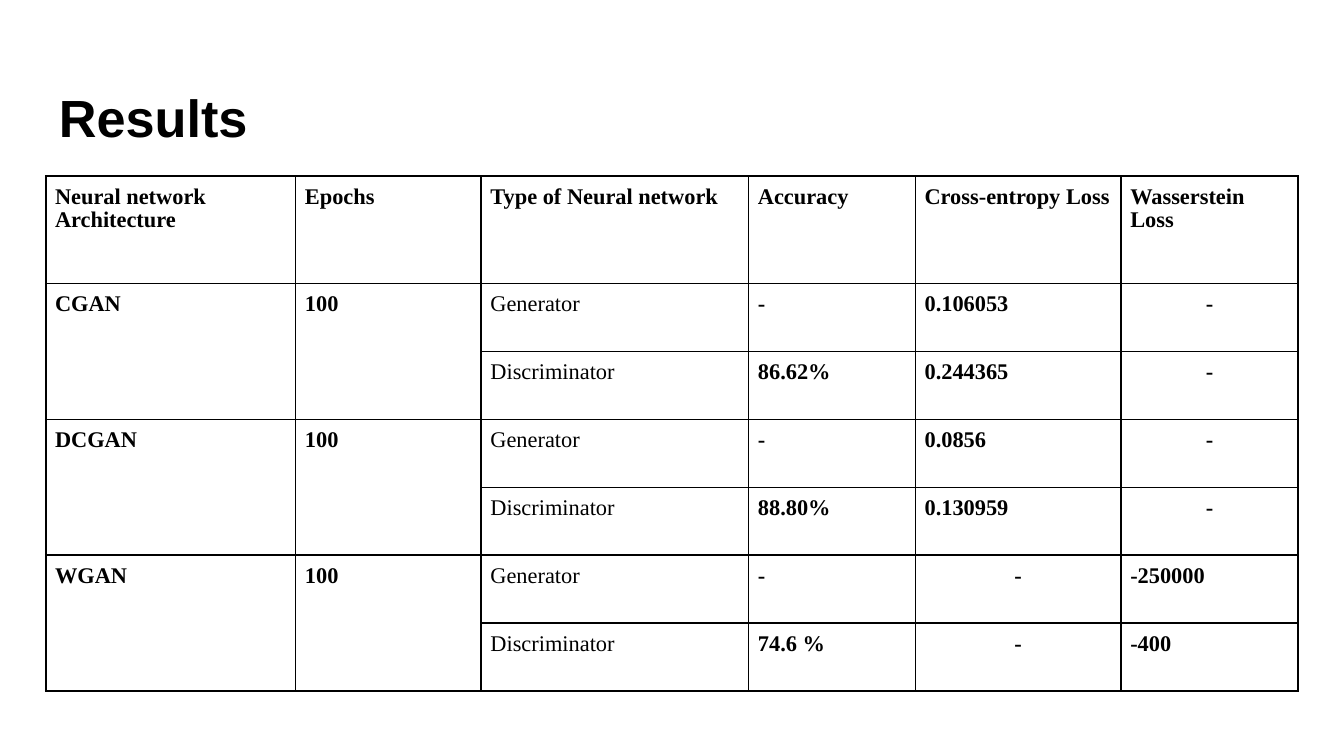
from lxml import etree
from pptx import Presentation
from pptx.dml.color import RGBColor
from pptx.enum.text import MSO_ANCHOR, PP_ALIGN
from pptx.oxml.ns import qn
from pptx.util import Pt

TOP = MSO_ANCHOR.TOP
LEFT, CENTER = PP_ALIGN.LEFT, PP_ALIGN.CENTER
BLACK = RGBColor(0x00, 0x00, 0x00)

TITLE_FONT = {"name": "Arial", "size": Pt(28), "bold": True}
BOLD_FONT = {"name": "Times New Roman", "size": Pt(12), "bold": True}
PLAIN_FONT = {**BOLD_FONT, "bold": False}

TYPE_COL, FIRST_LOSS_COL = 2, 4
COL_WIDTHS = [133.9, 99.4, 143.3, 89.3, 110.2, 95]
HEADER_HEIGHT, ROW_HEIGHT = 57.5, 36.4
HEADERS = ["Neural network Architecture", "Epochs", "Type of Neural network",
           "Accuracy", "Cross-entropy Loss", "Wasserstein Loss"]
# Each model: name, epochs, then accuracy and losses of its two networks
MODELS = [
    ("CGAN", "100", ["-", "0.106053", "-"], ["86.62%", "0.244365", "-"]),
    ("DCGAN", "100", ["-", "0.0856", "-"], ["88.80%", "0.130959", "-"]),
    ("WGAN", "100", ["-", "-", "-250000"], ["74.6 %", "-", "-400"]),
]


def set_attrs(obj, values):
    for name, value in values.items():
        setattr(obj, name, value)


def write(tf, text, font, align=LEFT, spacing=1.0):
    p = tf.paragraphs[0]
    set_attrs(p, {"alignment": align, "line_spacing": spacing})
    r = p.add_run()
    r.text = text
    set_attrs(r.font, font)
    r.font.color.rgb = BLACK


def add_borders(cell):
    tc_pr = cell._tc.get_or_add_tcPr()
    for i, side in enumerate(("a:lnL", "a:lnR", "a:lnT", "a:lnB")):
        ln = etree.Element(qn(side), w=str(Pt(1)))
        fill = etree.SubElement(ln, qn("a:solidFill"))
        etree.SubElement(fill, qn("a:srgbClr"), val=str(BLACK))
        tc_pr.insert(i, ln)


def add_title(s, left, top, width, height):
    tf = s.shapes.add_textbox(Pt(left), Pt(top), Pt(width), Pt(height)).text_frame
    set_attrs(tf, {"word_wrap": True, "vertical_anchor": TOP,
                   "margin_left": Pt(7.2), "margin_right": Pt(7.2),
                   "margin_top": Pt(10.4), "margin_bottom": Pt(2)})
    write(tf, "Results", TITLE_FONT)


def add_results_table(s, left, top, width, height):
    # Two rows for each model, under the header
    rows = [HEADERS]
    for name, epochs, generator, discriminator in MODELS:
        rows.append([name, epochs, "Generator", *generator])
        rows.append(["", "", "Discriminator", *discriminator])

    table = s.shapes.add_table(len(rows), len(HEADERS), Pt(left), Pt(top),
                               Pt(width), Pt(height)).table
    set_attrs(table, {"first_row": False, "horz_banding": False})
    for column, col_width in zip(table.columns, COL_WIDTHS):
        column.width = Pt(col_width)

    for i, values in enumerate(rows):
        table.rows[i].height = Pt(ROW_HEIGHT if i else HEADER_HEIGHT)
        for j, text in enumerate(values):
            cell = table.cell(i, j)
            set_attrs(cell, {"vertical_anchor": TOP,
                             "margin_left": Pt(5), "margin_right": Pt(5),
                             "margin_top": Pt(5), "margin_bottom": Pt(5)})
            cell.fill.background()
            add_borders(cell)
            if text:
                font = PLAIN_FONT if i and j == TYPE_COL else BOLD_FONT
                missing_loss = text == "-" and j >= FIRST_LOSS_COL
                write(cell.text_frame, text, font,
                      CENTER if missing_loss else LEFT, 0.93)

    # Model name and epochs span both of the model's rows
    for i in range(1, len(rows), 2):
        for j in range(TYPE_COL):
            table.cell(i, j).merge(table.cell(i + 1, j))


def main():
    prs = Presentation()
    set_attrs(prs, {"slide_width": Pt(720), "slide_height": Pt(405)})
    s = prs.slides.add_slide(prs.slide_layouts[6])
    add_title(s, 24.5, 35.3, 671, 45.4)
    add_results_table(s, 24.5, 94.4, sum(COL_WIDTHS),
                      HEADER_HEIGHT + 2 * len(MODELS) * ROW_HEIGHT)
    prs.save("out.pptx")


if __name__ == "__main__":
    main()
